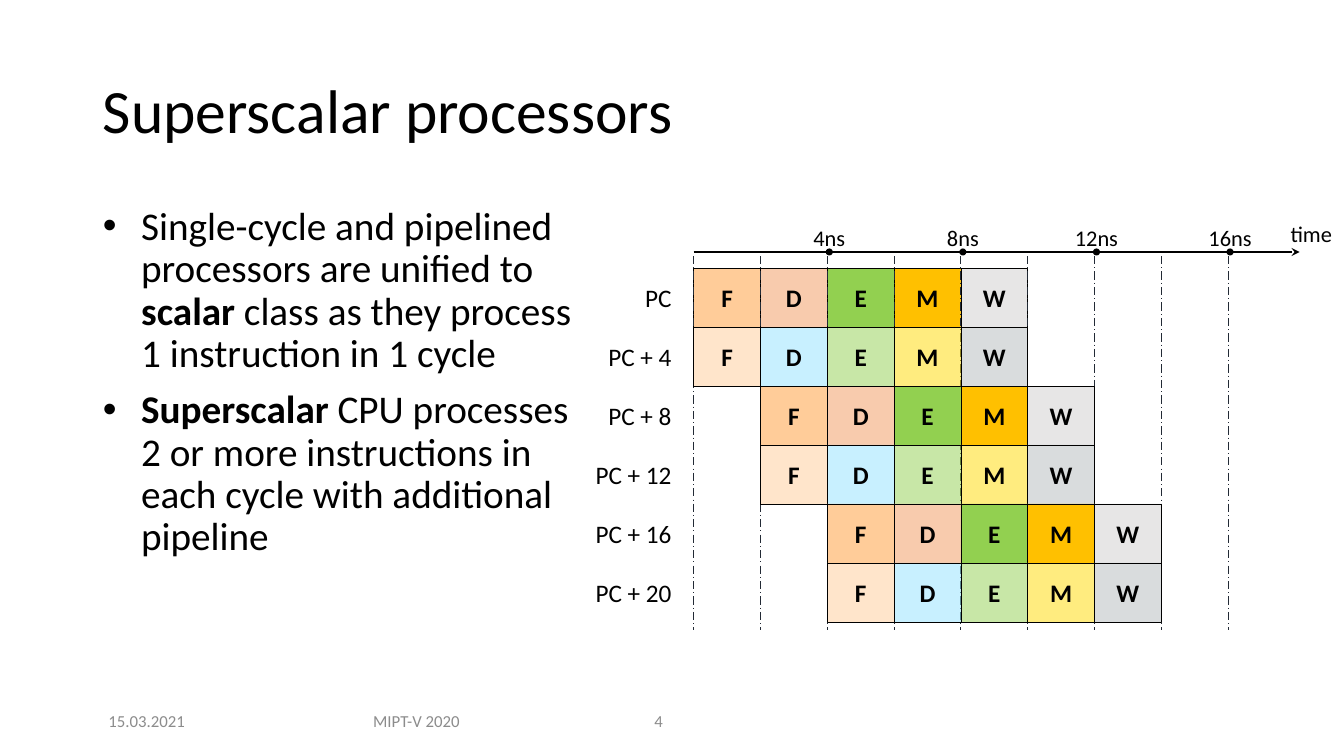
from lxml.etree import SubElement
from pptx import Presentation
from pptx.dml.color import RGBColor
from pptx.enum.dml import MSO_LINE_DASH_STYLE as Dash
from pptx.enum.shapes import MSO_CONNECTOR_TYPE as Connector, MSO_SHAPE as Shape
from pptx.enum.text import MSO_ANCHOR as Anchor, MSO_AUTO_SIZE as AutoSize, PP_ALIGN as Align
from pptx.oxml.ns import qn
from pptx.util import Inches, Pt

WIDTH, HEIGHT = 13.33, 7.5
GRID_LEFT, GRID_TOP = 6.88, 2.66
COLUMN, ROW = 5.3 / 8, 3.51 / 6
AXIS_Y, AXIS_END = 2.5, 12.89
FONT = "Calibri"

COLORS = {
    "black": "000000", "footer": "8C8C8C", "cycle": "222A35",
    "fetch": "FFCC99", "decode": "F8CBAD", "execute": "92D050",
    "memory": "FFC000", "write": "E7E6E6",
    "decode 2": "93E2FF", "memory 2": "FFDA00", "write 2": "B4BABD",
}
STAGES = "FDEMW"
FIRST_PIPE = ("fetch", "decode", "execute", "memory", "write")
SECOND_PIPE = ("fetch", "decode 2", "execute", "memory 2", "write 2")
INSTRUCTIONS = ("PC", "PC + 4", "PC + 8", "PC + 12", "PC + 16", "PC + 20")
BULLETS = (
    (("Single-cycle and pipelined processors are unified to ", False),
     ("scalar ", True),
     ("class as they process 1 instruction in 1 cycle", False)),
    (("Superscalar ", True),
     ("CPU processes 2 or more instructions in each cycle with additional pipeline", False)),
)


def rgb(name):
    return RGBColor.from_string(COLORS[name])


def set_all(target, **values):
    for name, value in values.items():
        setattr(target, name, value)


def column_x(column):
    return GRID_LEFT + column * COLUMN


def row_y(row):
    return GRID_TOP + row * ROW


def place(shape, *lengths):
    """Set left, top, width and height, given in inches."""
    sides = ("left", "top", "width", "height")
    set_all(shape, **dict(zip(sides, map(Inches, lengths))))


def style_font(font, size, color="black", bold=False):
    set_all(font, name=FONT, size=Pt(size), bold=bold)
    font.color.rgb = rgb(color)


def add_label(slide, text, box, size, align=Align.CENTER, color="black"):
    frame = slide.shapes.add_textbox(*map(Inches, box)).text_frame
    set_all(frame, word_wrap=True, vertical_anchor=Anchor.MIDDLE,
            margin_left=0, margin_right=0)
    para = frame.paragraphs[0]
    set_all(para, text=text, alignment=align)
    style_font(para.font, size, color)


def add_line(slide, start, end, color, width):
    line = slide.shapes.add_connector(Connector.STRAIGHT, *map(Inches, start + end))
    line.line.color.rgb = rgb(color)
    line.line.width = Pt(width)
    SubElement(line._element.spPr, qn("a:effectLst"))
    return line


def add_filled(slide, kind, box, color):
    shape = slide.shapes.add_shape(kind, *map(Inches, box))
    shape.shadow.inherit = False
    shape.fill.solid()
    shape.fill.fore_color.rgb = rgb(color)
    return shape


def add_stage(slide, text, column, row, color, translucent):
    cell = add_filled(slide, Shape.RECTANGLE,
                      (column_x(column), row_y(row), COLUMN, ROW), color)
    if translucent:
        hue = cell._element.spPr.find(qn("a:solidFill")).find(qn("a:srgbClr"))
        SubElement(hue, qn("a:alpha"), val="50000")
    cell.line.color.rgb = rgb("black")
    cell.line.width = Pt(0.25)
    set_all(cell.text_frame, word_wrap=False, vertical_anchor=Anchor.MIDDLE)
    para = cell.text_frame.paragraphs[0]
    set_all(para, text=text, alignment=Align.CENTER)
    style_font(para.font, 18, bold=True)


def add_instruction(slide, row):
    """Two instructions start together, one cycle after the pair before."""
    start, second = divmod(row, 2)
    add_label(slide, INSTRUCTIONS[row],
              (GRID_LEFT - 1.2, row_y(row), 0.98, ROW), 18, Align.RIGHT)
    colors = SECOND_PIPE if second else FIRST_PIPE
    for step, (stage, color) in enumerate(zip(STAGES, colors)):
        add_stage(slide, stage, start + step, row, color, second)


def add_timeline(slide):
    axis = add_line(slide, (GRID_LEFT, AXIS_Y), (AXIS_END, AXIS_Y), "black", 1.5)
    SubElement(axis.line._get_or_add_ln(), qn("a:tailEnd"), type="stealth")
    add_label(slide, "time", (12.8, 2.13, 0.5, 0.37), 16, Align.LEFT)
    dot = 0.07
    for column in range(2, 9, 2):
        center = column_x(column) + 0.02
        add_filled(slide, Shape.OVAL, (center - dot / 2, AXIS_Y - dot / 2, dot, dot),
                   "black").line.fill.background()
        add_label(slide, f"{column * 2}ns", (center - 0.3, 2.17, 0.6, 0.37), 16)
    for column in range(9):
        x = column_x(column)
        cycle = add_line(slide, (x, 2.54), (x, 6.25), "cycle", 0.75)
        cycle.line.dash_style = Dash.LONG_DASH_DOT


def fill_title(title):
    place(title, 0.92, 0.4, 11.5, 1.45)
    set_all(title.text_frame, vertical_anchor=Anchor.MIDDLE, auto_size=AutoSize.NONE)
    para = title.text_frame.paragraphs[0]
    set_all(para, text="Superscalar processors", alignment=Align.LEFT, line_spacing=0.9)
    style_font(para.font, 44)


def fill_bullets(body):
    place(body, 0.92, 2, 4.96, 4.52)
    frame = body.text_frame
    frame.auto_size = AutoSize.NONE
    for index, spans in enumerate(BULLETS):
        para = frame.add_paragraph() if index else frame.paragraphs[0]
        set_all(para, line_spacing=0.9, space_before=Pt(10 if index else 0))
        properties = para._p.get_or_add_pPr()
        properties.set("marL", str(Inches(0.38)))
        properties.set("indent", str(-Inches(0.38)))
        SubElement(properties, qn("a:buFont"), typeface="Arial")
        SubElement(properties, qn("a:buChar"), char="•")
        for text, bold in spans:
            span = para.add_run()
            span.text = text
            style_font(span.font, 28, bold=bold)


def add_footer(slide):
    for text, left, width, align in (("15.03.2021", 0.92, 1.07, Align.CENTER),
                                     ("MIPT-V 2020", 3.34, 1.58, Align.CENTER),
                                     ("4", 6.49, 0.6, Align.LEFT)):
        add_label(slide, text, (left, 6.95, width, 0.4), 12, align, "footer")


def main():
    deck = Presentation()
    set_all(deck, slide_width=Inches(WIDTH), slide_height=Inches(HEIGHT))
    slide = deck.slides.add_slide(deck.slide_layouts[1])
    fill_title(slide.shapes.title)
    fill_bullets(slide.placeholders[1])
    add_instruction(slide, 0)
    add_timeline(slide)
    for row in range(1, len(INSTRUCTIONS)):
        add_instruction(slide, row)
    add_footer(slide)
    deck.save("out.pptx")


if __name__ == "__main__":
    main()
